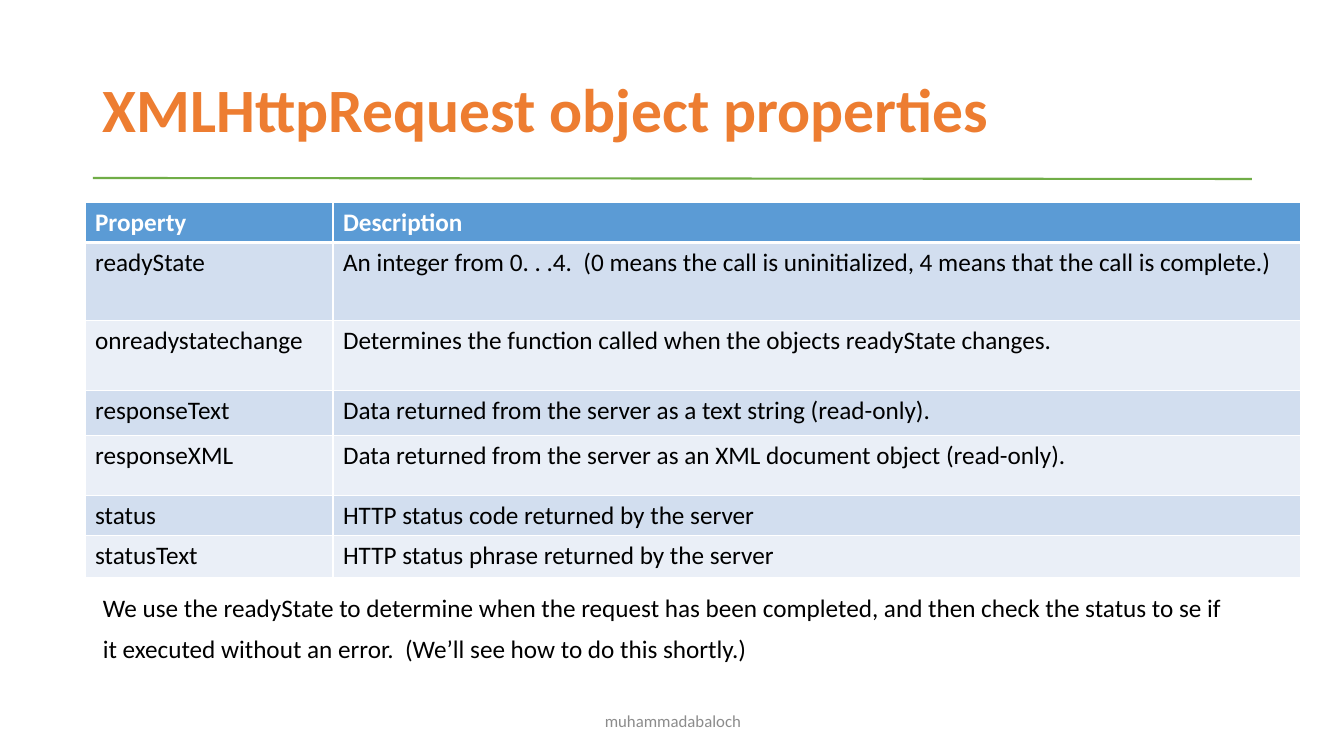
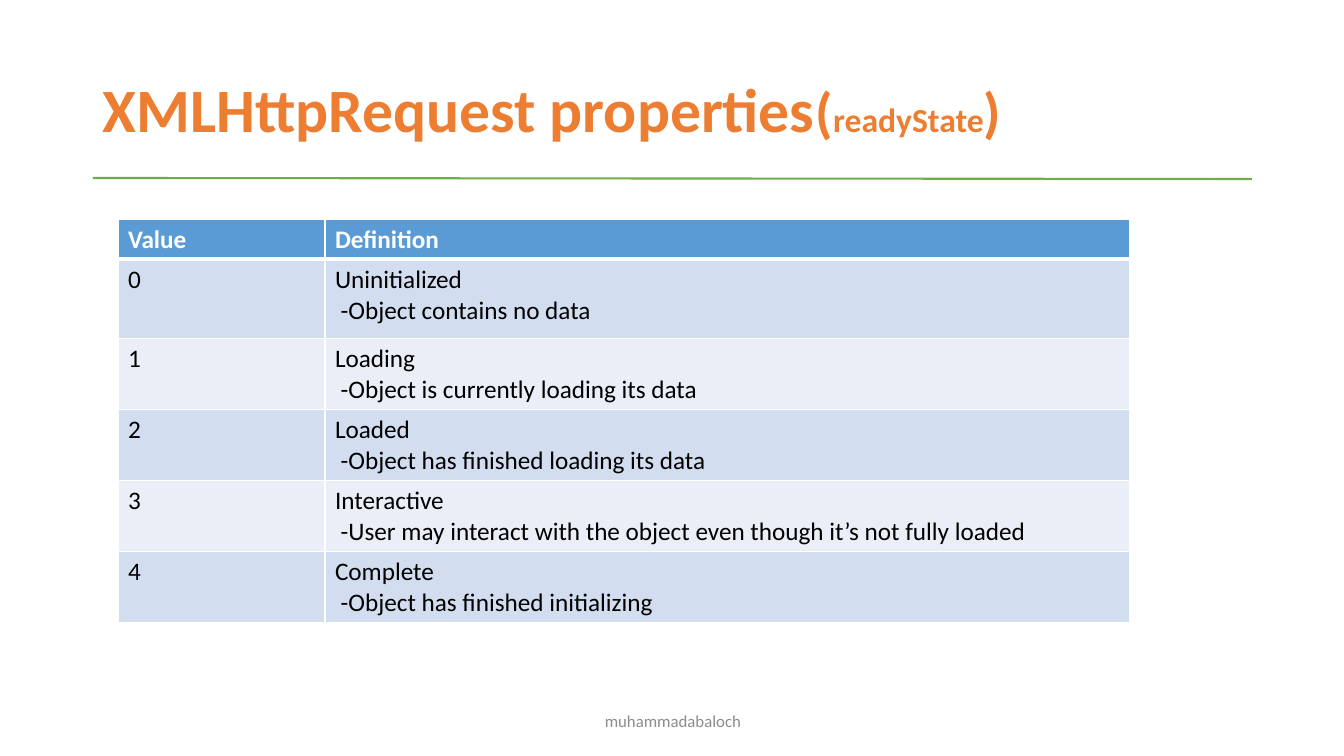
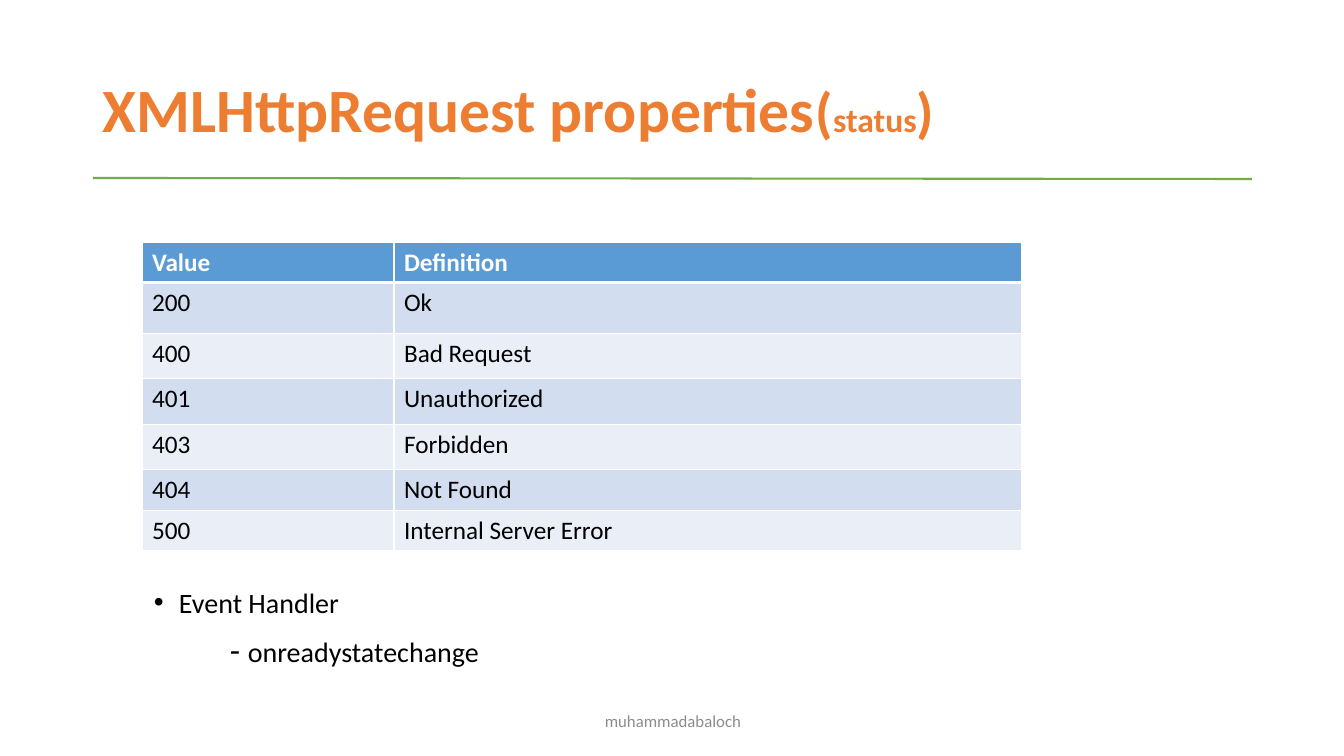
from lxml.etree import SubElement
from pptx import Presentation
from pptx.dml.color import RGBColor
from pptx.enum.shapes import MSO_CONNECTOR
from pptx.enum.text import MSO_ANCHOR, PP_ALIGN
from pptx.oxml.ns import qn
from pptx.util import Pt

SCALE = 914400 / 100.8
FONT = "Calibri"
ORANGE = RGBColor(0xED, 0x7D, 0x31)
GREEN = RGBColor(0x70, 0xAD, 0x47)
BLUE = RGBColor(0x5B, 0x9B, 0xD5)
BANDS = RGBColor(0xD2, 0xDE, 0xEF), RGBColor(0xEA, 0xEF, 0xF7)
GREY = RGBColor(0x8C, 0x8C, 0x8C)
BLACK = RGBColor(0, 0, 0)
WHITE = RGBColor(0xFF, 0xFF, 0xFF)

TITLE_BOX = 93, 40, 1159, 146
RULE = 93, 178, 1252, 179
FOOTER_BOX = 446, 701, 454, 40


def px(*lengths):
    return [round(n * SCALE) for n in lengths]


def set_attrs(obj, values):
    for name, value in values.items():
        setattr(obj, name, value)


def add_run(p, text, size, color, bold=False):
    r = p.add_run()
    r.text = text
    set_attrs(r.font, dict(name=FONT, size=Pt(size), bold=bold))
    r.font.color.rgb = color


def add_text(s, box, paragraphs, color, bold=False, anchor=MSO_ANCHOR.TOP, **fmt):
    """Each paragraph is a list of (text, size) runs."""
    tf = s.shapes.add_textbox(*px(*box)).text_frame
    set_attrs(tf, dict(word_wrap=True, vertical_anchor=anchor))
    for i, runs in enumerate(paragraphs):
        p = tf.add_paragraph() if i else tf.paragraphs[0]
        set_attrs(p, fmt)
        for text, size in runs:
            add_run(p, text, size, color, bold)
    return tf


def indent(p, left, first=0, bullet=None):
    pPr = p._p.get_or_add_pPr()
    for name, value in zip(("marL", "indent"), px(left, first)):
        pPr.set(name, str(value))
    if bullet:
        SubElement(pPr, qn("a:buFont")).set("typeface", "Arial")
        SubElement(pPr, qn("a:buChar")).set("char", bullet)


def set_borders(cell, top, bottom):
    tcPr = cell._tc.get_or_add_tcPr()
    for side, width in dict(L=1, R=1, T=top, B=bottom).items():
        ln = SubElement(tcPr, qn(f"a:ln{side}"), w=str(Pt(width)))
        fill = SubElement(ln, qn("a:solidFill"))
        SubElement(fill, qn("a:srgbClr"), val=str(WHITE))


def add_grid(s, left, top, cols, heights, rows):
    box = px(left, top, sum(cols), sum(heights))
    table = s.shapes.add_table(len(rows), len(cols), *box).table
    for col, width in zip(table.columns, px(*cols)):
        col.width = width
    for row, height in zip(table.rows, px(*heights)):
        row.height = height
    for i, texts in enumerate(rows):
        head = i == 0
        for j, text in enumerate(texts):
            cell = table.cell(i, j)
            set_borders(cell, 3 if i == 1 else 1, 3 if head else 1)
            cell.fill.solid()
            cell.fill.fore_color.rgb = BLUE if head else BANDS[(i - 1) % 2]
            tf = cell.text_frame
            for k, line in enumerate(text.split("\n")):
                p = tf.add_paragraph() if k else tf.paragraphs[0]
                add_run(p, line, 18, WHITE if head else BLACK, head)


def add_page(prs, title):
    """Slide with the shared title, rule and footer."""
    s = prs.slides.add_slide(prs.slide_layouts[6])
    add_text(s, TITLE_BOX, [title], ORANGE, True, MSO_ANCHOR.MIDDLE, line_spacing=0.9)
    add_text(s, FOOTER_BOX, [[("muhammadabaloch", 12)]], GREY,
             anchor=MSO_ANCHOR.MIDDLE, alignment=PP_ALIGN.CENTER)
    rule = s.shapes.add_connector(MSO_CONNECTOR.STRAIGHT, *px(*RULE))
    rule.line.color.rgb = GREEN
    rule.line.width = Pt(1.5)
    SubElement(rule._element.spPr, qn("a:effectLst"))
    return s


def add_body(s, box, paragraphs):
    return add_text(s, box, paragraphs, BLACK, line_spacing=0.9, space_after=Pt(10))


def title_with(name):
    return [("XMLHttpRequest properties", 44), ("(", 40), (name, 24), (")", 40)]


def properties_slide(prs):
    s = add_page(prs, [("XMLHttpRequest object properties", 44)])
    add_grid(s, 85, 202, (248, 968), (40, 78, 70, 45, 60, 40, 42), [
        ("Property", "Description"),
        ("readyState", "An integer from 0. . .4.  (0 means the call is uninitialized, "
                       "4 means that the call is complete.)"),
        ("onreadystatechange",
         "Determines the function called when the objects readyState changes."),
        ("responseText", "Data returned from the server as a text string (read-only)."),
        ("responseXML",
         "Data returned from the server as an XML document object (read-only)."),
        ("status", "HTTP status code returned by the server"),
        ("statusText", "HTTP status phrase returned by the server"),
    ])
    add_body(s, (93, 591, 1159, 90), [
        [("We use the readyState to determine when the request has been completed, "
          "and then check the status to se if", 18)],
        [("it executed without an error.  (We’ll see how to do this shortly.)", 18)],
    ])


def ready_state_slide(prs):
    s = add_page(prs, title_with("readyState"))
    states = [
        "Uninitialized\n -Object contains no data",
        "Loading\n -Object is currently loading its data",
        "Loaded\n -Object has finished loading its data",
        "Interactive\n -User may interact with the object even though it’s not fully loaded",
        "Complete\n -Object has finished initializing",
    ]
    rows = [("Value", "Definition")] + [(str(n), text) for n, text in enumerate(states)]
    add_grid(s, 118, 219, (207, 805), [40, 79] + [71] * 4, rows)


def status_slide(prs):
    s = add_page(prs, title_with("status"))
    add_grid(s, 142, 242, (252, 628), (40, 51, 45, 46, 45, 41, 40), [
        ("Value", "Definition"),
        ("200", "Ok"),
        ("400", "Bad Request"),
        ("401", "Unauthorized"),
        ("403", "Forbidden"),
        ("404", "Not Found"),
        ("500", "Internal Server Error"),
    ])
    tf = add_body(s, (93, 584, 1159, 97), [
        [("Event Handler", 20)],
        [("- ", 24), ("onreadystatechange", 20)],
    ])
    event, handler = tf.paragraphs
    indent(event, 76, -25, "•")
    indent(handler, 127)


prs = Presentation()
prs.slide_width, prs.slide_height = px(1344, 756)
for build in (properties_slide, ready_state_slide, status_slide):
    build(prs)
prs.save("out.pptx")
